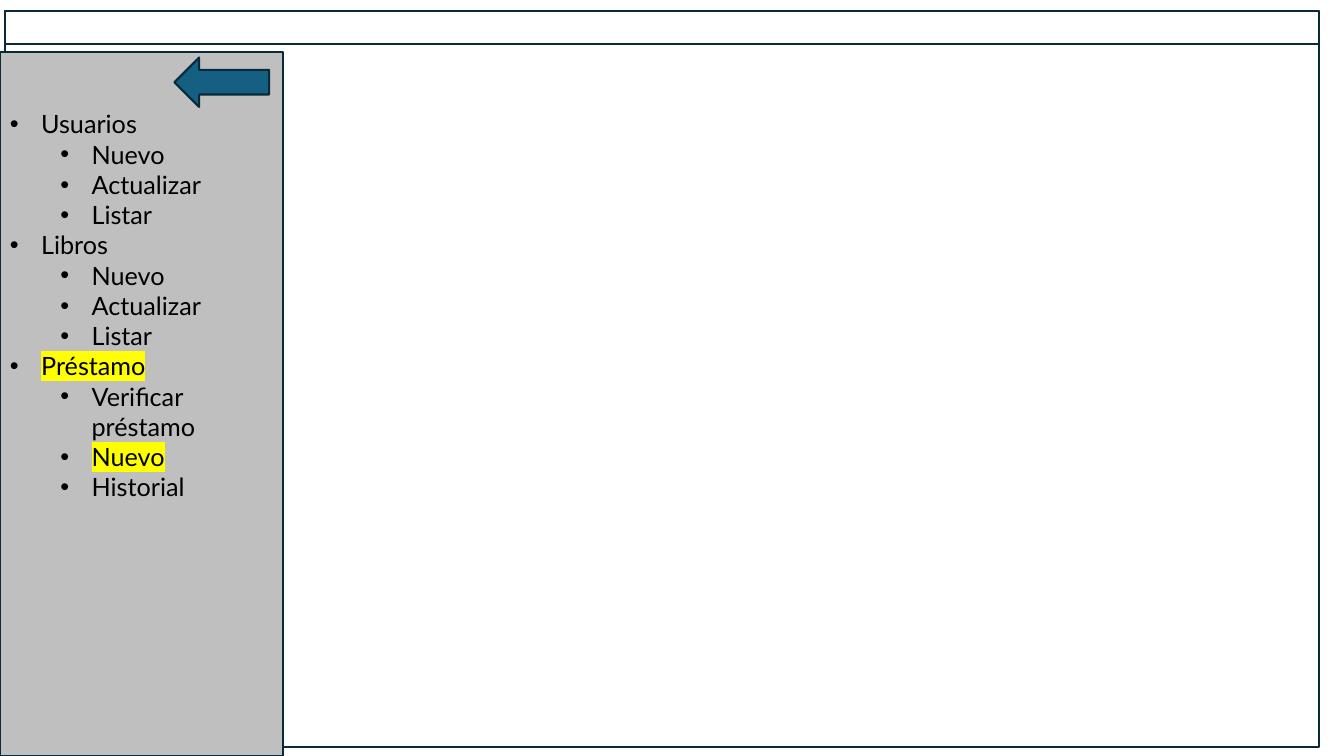
from lxml.etree import SubElement
from pptx import Presentation
from pptx.dml.color import RGBColor
from pptx.enum.shapes import MSO_SHAPE
from pptx.enum.text import MSO_AUTO_SIZE
from pptx.oxml.ns import qn
from pptx.util import Pt

PX = 9144  # 100 px to the inch
COLORS = {
    "outline": "092A39",
    "sidebar": "BFBFBF",
    "arrow": "156082",
    "text": "000000",
    "highlight": "FFFF00",
}
INDENT, LEVEL_STEP = 31, 50

presentation = Presentation()
presentation.slide_width = 1333 * PX
presentation.slide_height = 750 * PX
slide = presentation.slides.add_slide(presentation.slide_layouts[6])


def add_outlined_shape(kind, box, fill=None):
    shape = slide.shapes.add_shape(kind, *(length * PX for length in box))
    shape.shadow.inherit = False
    if fill:
        shape.fill.solid()
        shape.fill.fore_color.rgb = RGBColor.from_string(COLORS[fill])
    else:
        shape.fill.background()
    shape.line.color.rgb = RGBColor.from_string(COLORS["outline"])
    shape.line.width = Pt(1.5)


# Window, title bar and sidebar
add_outlined_shape(MSO_SHAPE.RECTANGLE, (5, 11, 1303, 730))
add_outlined_shape(MSO_SHAPE.RECTANGLE, (5, 11, 1303, 33))
add_outlined_shape(MSO_SHAPE.RECTANGLE, (0, 52, 281, 698), "sidebar")

# Menu: text, level, highlighted
menu_items = [
    ("Usuarios", 0, False),
    ("Nuevo", 1, False),
    ("Actualizar", 1, False),
    ("Listar", 1, False),
    ("Libros", 0, False),
    ("Nuevo", 1, False),
    ("Actualizar", 1, False),
    ("Listar", 1, False),
    ("Préstamo", 0, True),
    ("Verificar préstamo", 1, False),
    ("Nuevo", 1, True),
    ("Historial", 1, False),
]
menu = slide.shapes.add_textbox(0, 103 * PX, 238 * PX, 404 * PX)
text_frame = menu.text_frame
text_frame.word_wrap = True
text_frame.auto_size = MSO_AUTO_SIZE.SHAPE_TO_FIT_TEXT

for index, (text, level, highlighted) in enumerate(menu_items):
    paragraph = text_frame.add_paragraph() if index else text_frame.paragraphs[0]
    paragraph.level = level
    properties = paragraph._p.get_or_add_pPr()
    properties.set("marL", str((INDENT + level * LEVEL_STEP) * PX))
    properties.set("indent", str(-INDENT * PX))
    SubElement(properties, qn("a:buFont"), typeface="Arial")
    SubElement(properties, qn("a:buChar"), char="•")
    paragraph.font.name = "Lato"
    paragraph.font.size = Pt(18)
    paragraph.font.color.rgb = RGBColor.from_string(COLORS["text"])
    run = paragraph.add_run()
    run.text = text
    if highlighted:
        highlight = SubElement(run._r.get_or_add_rPr(), qn("a:highlight"))
        SubElement(highlight, qn("a:srgbClr"), val=COLORS["highlight"])

# Collapse arrow
add_outlined_shape(MSO_SHAPE.LEFT_ARROW, (173, 57, 94, 49), "arrow")

presentation.save("out.pptx")
